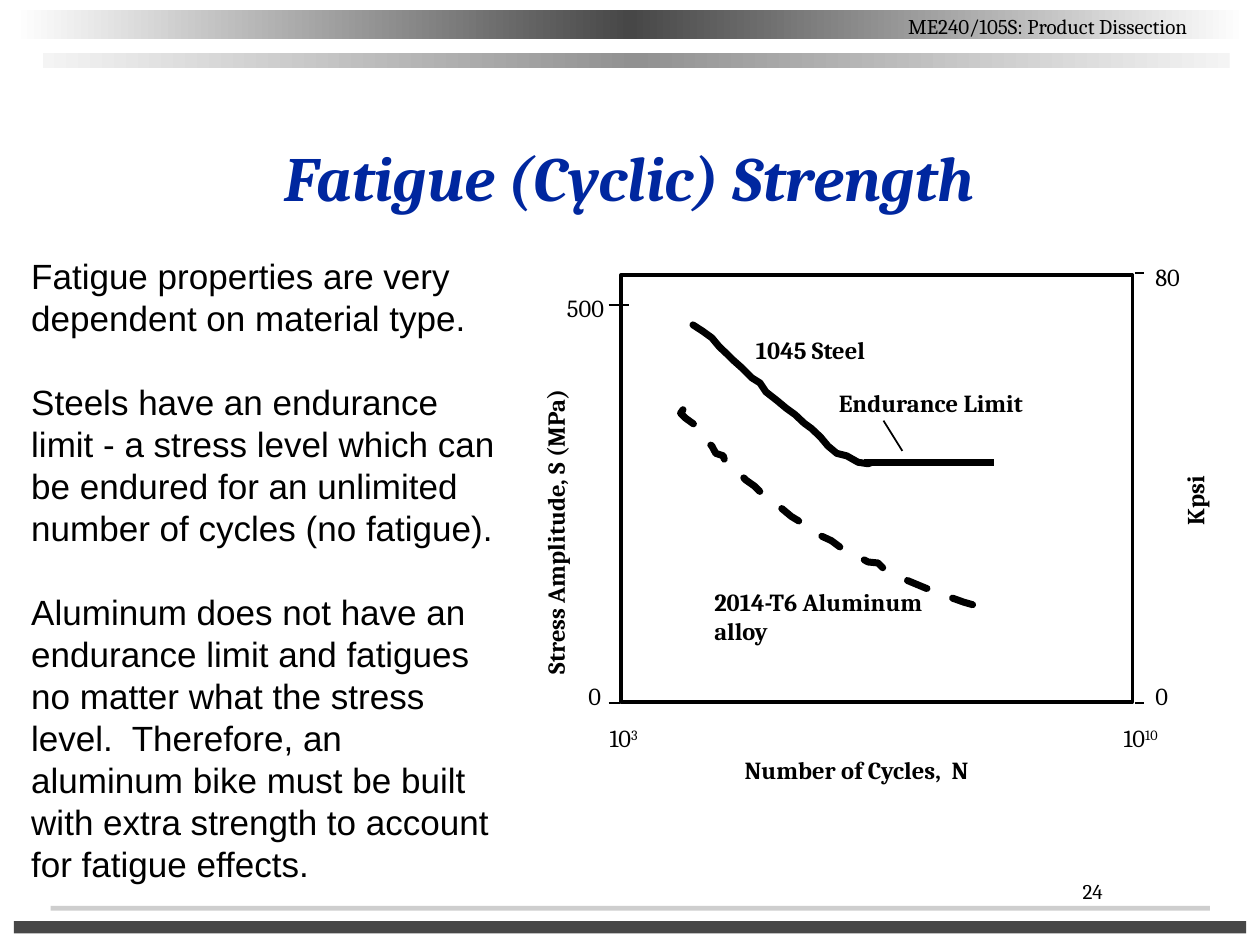
from copy import deepcopy

from pptx import Presentation, util as u
from pptx.dml.color import RGBColor
from pptx.enum import dml, shapes, text
from pptx.oxml.ns import qn
from pptx.oxml.xmlchemy import OxmlElement

COLORS = {"ink": "000000", "paper": "FFFFFF", "title": "00279F", "dark": "474747",
          "mid": "919191", "pale": "F4F4F4", "rule": "CECECE"}

STEEL = [(13.97, 6.55), (14.17, 6.68), (14.35, 6.81), (14.5, 6.99), (14.68, 7.16),
         (14.78, 7.26), (14.96, 7.42), (15.16, 7.62), (15.32, 7.72), (15.44, 7.9),
         (15.67, 8.08), (15.85, 8.23), (16.03, 8.36), (16.21, 8.53), (16.36, 8.64),
         (16.54, 8.81), (16.69, 8.99), (16.87, 9.14), (17.07, 9.19), (17.3, 9.32),
         (17.5, 9.35), (17.58, 9.32)]
ALUMINUM = [(13.77, 8.26), (13.72, 8.33), (13.82, 8.43), (14, 8.56), (14.07, 8.71),
            (14.22, 8.89), (14.35, 8.99), (14.43, 9.14), (14.58, 9.19), (14.63, 9.35),
            (14.86, 9.5), (15.04, 9.68), (15.21, 9.8), (15.39, 9.98), (15.6, 10.13),
            (15.77, 10.26), (15.95, 10.41), (16.13, 10.52), (16.31, 10.62),
            (16.48, 10.77), (16.76, 10.9), (16.99, 11.07), (17.22, 11.15),
            (17.32, 11.23), (17.5, 11.33), (17.7, 11.35), (17.81, 11.46),
            (18.03, 11.58), (18.31, 11.71), (18.67, 11.86), (18.95, 11.91),
            (19.15, 12.04), (19.43, 12.14), (19.71, 12.22), (19.99, 12.27),
            (20.14, 12.32)]
BODY = [
    "Fatigue properties are very dependent on material type.",
    "Steels have an endurance limit - a stress level which can be endured for an "
    "unlimited number of cycles (no fatigue).",
    "Aluminum does not have an endurance limit and fatigues no matter what the stress "
    "level.  Therefore, an aluminum bike must be built with extra strength to account "
    "for fatigue effects.",
]


class Deck:
    """Holds the style and the current slide, and draws each kind of element."""

    def __init__(self, prs):
        self.font, self.size = "Cambria", 14
        self.s = prs.slides.add_slide(prs.slide_layouts[6])

    def color(self, name):
        return RGBColor.from_string(COLORS[name])

    def stroke(self, sp, width, name="ink"):
        sp.line.color.rgb = self.color(name)
        sp.line.width = u.Pt(width)

    def rect(self, x, y, w, h, fills, line=None):
        sp = self.s.shapes.add_shape(shapes.MSO_SHAPE.RECTANGLE,
                                     u.Cm(x), u.Cm(y), u.Cm(w), u.Cm(h))
        sp.shadow.inherit = False
        if len(fills) == 1:
            sp.fill.solid()
            sp.fill.fore_color.rgb = self.color(fills[0])
        else:
            sp.fill.gradient()
            sp.fill.gradient_angle = 0
            stops = sp._element.spPr.find(qn("a:gradFill")).find(qn("a:gsLst"))
            stops.append(deepcopy(stops[0]))
            for i, (stop, name) in enumerate(zip(sp.fill.gradient_stops, fills)):
                stop.position = i / (len(fills) - 1)
                stop.color.rgb = self.color(name)
        if line:
            self.stroke(sp, line)
        else:
            sp.line.fill.background()

    def line(self, x1, y1, x2, y2, width=1):
        sp = self.s.shapes.add_connector(shapes.MSO_CONNECTOR.STRAIGHT,
                                         u.Cm(x1), u.Cm(y1), u.Cm(x2), u.Cm(y2))
        self.stroke(sp, width)
        sp._element.spPr.append(OxmlElement("a:effectLst"))

    def curve(self, points, dash=None):
        pts = [(round(x * 100), round(y * 100)) for x, y in points]
        fb = self.s.shapes.build_freeform(*pts[0], scale=u.Cm(0.01))
        fb.add_line_segments(pts[1:], close=False)
        sp = fb.convert_to_shape()
        sp.shadow.inherit = False
        sp.fill.background()
        self.stroke(sp, 4)
        if dash:
            sp.line.dash_style = dash
        ln = sp._element.spPr.find(qn("a:ln"))
        ln.set("cap", "rnd")
        ln.append(OxmlElement("a:round"))

    def text(self, x, y, w, h, paragraphs, size=None, font=None, color="ink", bold=False,
             italic=False, wrap=False, align="LEFT", rotation=0, sup=None, gap=0):
        sp = self.s.shapes.add_textbox(u.Cm(x), u.Cm(y), u.Cm(w), u.Cm(h))
        sp.rotation = rotation
        tf = sp.text_frame
        tf.text = "\n".join(paragraphs)
        tf.word_wrap = wrap
        tf.auto_size = text.MSO_AUTO_SIZE.SHAPE_TO_FIT_TEXT
        if sup:
            r = tf.paragraphs[0].add_run()
            r.text = sup
            r.font._element.set("baseline", "30000")
        for p in tf.paragraphs:
            p.alignment = getattr(text.PP_ALIGN, align)
            p.space_after = u.Pt(gap)
            for r in p.runs:
                r.font.size = u.Pt(size or self.size)
                r.font.name = font or self.font
                r.font.bold, r.font.italic = bold, italic
                r.font.color.rgb = self.color(color)
        return tf


def main():
    prs = Presentation()
    prs.slide_width, prs.slide_height = u.Cm(25.4), u.Cm(19.05)
    d = Deck(prs)

    d.rect(0.28, 0.2, 24.84, 0.58, ["paper", "dark", "paper"])
    d.rect(0.86, 1.07, 23.93, 0.3, ["pale", "mid", "pale"])
    d.rect(0.28, 18.57, 24.84, 0.25, ["dark"])
    d.rect(1.02, 18.26, 23.37, 0.1, ["rule"])
    d.text(20.14, 17.58, 2.34, 0.76, ["24"], size=12, wrap=True, align="RIGHT")
    d.text(18.06, 0.15, 6.91, 0.76, ["ME240/105S: Product Dissection"], size=12)

    title = d.text(2.74, 2.06, 19.89, 3.18, ["Fatigue (Cyclic) Strength"], size=36,
                   color="title", bold=True, italic=True, wrap=True, align="CENTER")
    title.auto_size = text.MSO_AUTO_SIZE.NONE
    title.vertical_anchor = text.MSO_ANCHOR.MIDDLE
    title.paragraphs[0].line_spacing = 0.9
    d.text(0.38, 5, 10.03, 12.95, BODY, size=20, font="Arial", wrap=True, gap=24)

    d.rect(12.52, 5.54, 10.31, 8.61, ["paper"], line=2)
    d.curve(STEEL)
    d.line(17.42, 9.32, 20.04, 9.32, width=4)
    d.curve(ALUMINUM, dash=dml.MSO_LINE.DASH)
    for x1, x2, y in [(12.27, 12.67, 6.15), (12.27, 12.5, 14.17),
                      (22.89, 23.06, 5.51), (22.89, 23.06, 14.17)]:
        d.line(x1, y, x2, y)
    d.line(17.81, 8.48, 18.19, 9.09)

    for x, y, w, label, rotation in [
            (14.99, 6.63, 3.07, "1045 Steel", 0),
            (16.66, 7.7, 4.9, "Endurance Limit", 0),
            (14.76, 15.09, 5.87, "Number of Cycles,  N", 0),
            (7.57, 9.8, 7.24, "Stress Amplitude, S (MPa)", 270),
            (23.24, 9.58, 1.68, "Kpsi", 270)]:
        d.text(x, y, w, 0.84, [label], bold=True, rotation=rotation)
    d.text(14.15, 11.71, 5.11, 1.42, ["2014-T6 Aluminum alloy"], bold=True, wrap=True)

    for x, y, w, label, sup in [
            (23.04, 5.16, 1.07, "80", None), (11.18, 5.79, 1.32, "500", None),
            (11.61, 13.61, 0.79, "0", None), (23.04, 13.61, 0.79, "0", None),
            (12.04, 14.45, 1.22, "10", "3"), (22.4, 14.45, 1.37, "10", "10")]:
        d.text(x, y, w, 0.84, [label], sup=sup)

    prs.save("out.pptx")


if __name__ == "__main__":
    main()
